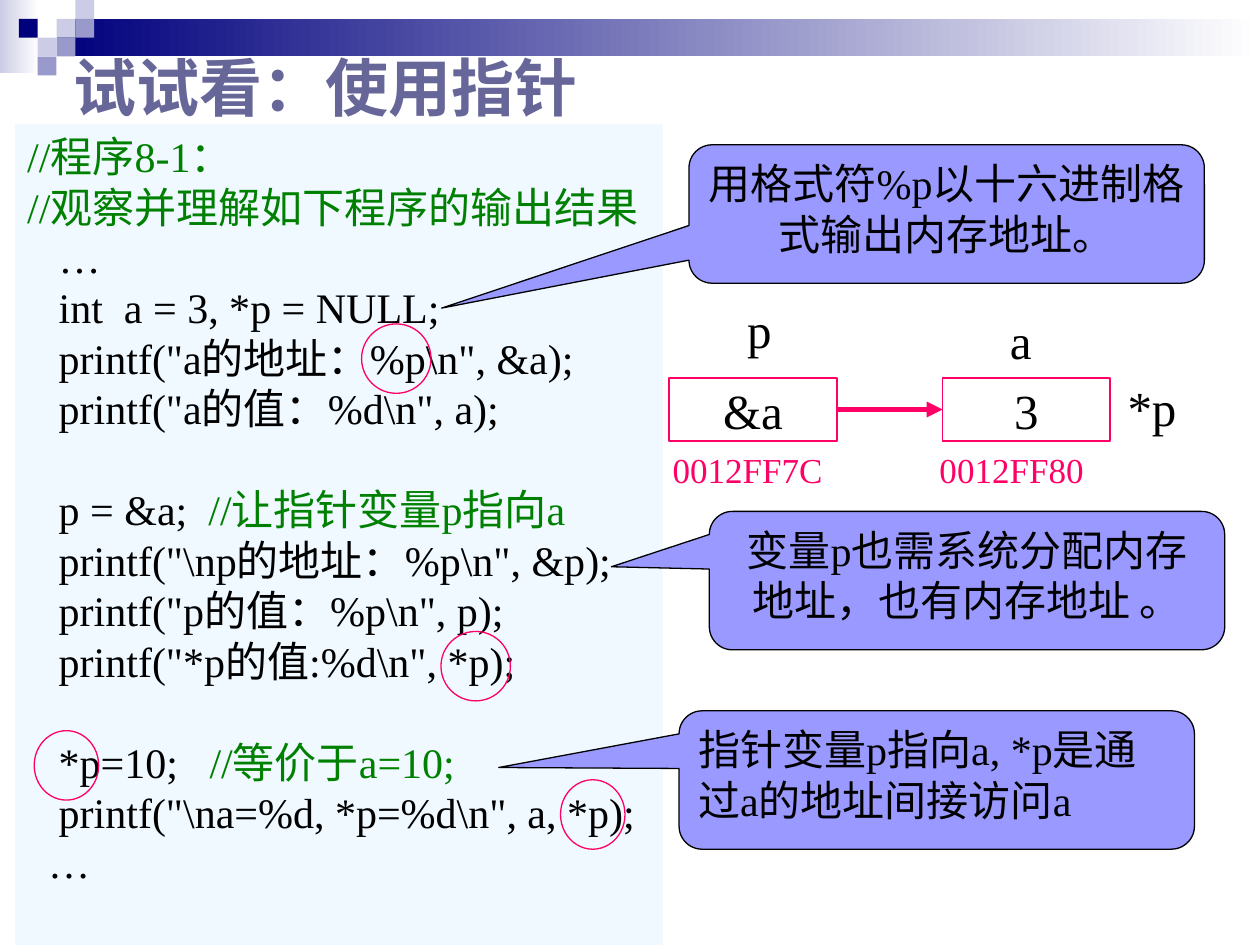
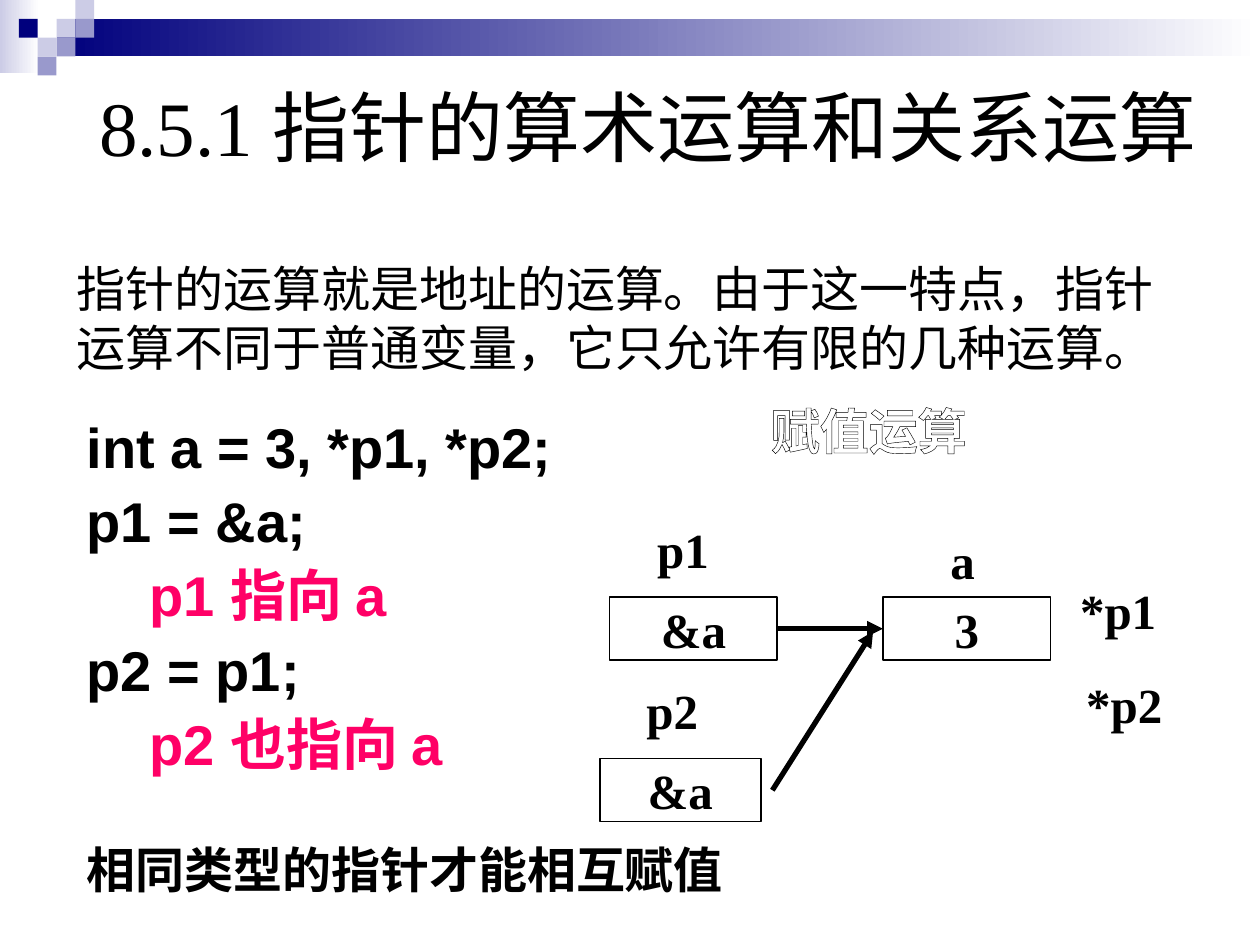
from lxml import etree
from pptx import Presentation
from pptx.dml.color import RGBColor
from pptx.enum import shapes, text
from pptx.oxml.ns import qn
from pptx.util import Cm, Pt

COLOURS = {
    "black": "000000", "white": "FFFFFF", "navy": "00007D",
    "pale": "CCCCE6", "lilac": "9999CC", "title": "666699",
    "panel": "EFF9FF", "callout": "9999FF", "comment": "008000",
    "pink": "FF0066",
}
SERIF, SANS, CHINESE = "Times New Roman", "Arial", "Noto Sans CJK SC"
SQUARE = 0.38                       # side of a corner square, cm
CELL = (3.38, 1.27)                 # size of a memory cell, cm
TARGET_STEP = 5.51                  # from pointer cell to target cell, cm
LABEL_HEIGHT = 1.45
CENTRE = text.PP_ALIGN.CENTER
MIDDLE = text.MSO_ANCHOR.MIDDLE

CODE = r'''//程序8-1：
//观察并理解如下程序的输出结果
   …
   int  a = 3, *p = NULL;
   printf("a的地址：%p\n", &a);
   printf("a的值：%d\n", a);

   p = &a;  //让指针变量p指向a
   printf("\np的地址：%p\n", &p);
   printf("p的值：%p\n", p);
   printf("*p的值:%d\n", *p);

   *p=10;   //等价于a=10;
   printf("\na=%d, *p=%d\n", a, *p);
  …'''


def rgb(name):
    return RGBColor.from_string(COLOURS[name])


def style(span, size, colour="black", bold=False, font=SERIF):
    span.font.size = Pt(size)
    span.font.bold = bold
    span.font.color.rgb = rgb(colour)
    span.font.name = font
    east_asian = etree.SubElement(span.font._element, qn("a:ea"))
    east_asian.set("typeface", CHINESE)


def write(shape, words, size, colour="black", bold=False, font=SERIF,
          align=None, anchor=text.MSO_ANCHOR.TOP, wrap=True):
    frame = shape.text_frame
    frame.text = words
    frame.word_wrap = wrap
    frame.vertical_anchor = anchor
    for para in frame.paragraphs:
        para.alignment = align or text.PP_ALIGN.LEFT
        for span in para.runs:
            style(span, size, colour, bold, font)
    return frame.paragraphs


def add_text(page, box, words, size, **look):
    return write(page.shapes.add_textbox(*map(Cm, box)), words, size, **look)


def add_shape(page, kind, box, fill=None, line=None, width=0.75):
    shape = page.shapes.add_shape(kind, *map(Cm, box))
    shape.shadow.inherit = False
    if fill:
        shape.fill.solid()
        shape.fill.fore_color.rgb = rgb(fill)
    else:
        shape.fill.background()
    if line:
        shape.line.color.rgb = rgb(line)
        shape.line.width = Pt(width)
    else:
        shape.line.fill.background()
    return shape


def add_arrow(page, start, end, colour):
    arrow = page.shapes.add_connector(shapes.MSO_CONNECTOR.STRAIGHT,
                                      *map(Cm, start + end))
    arrow.line.color.rgb = rgb(colour)
    arrow.line.width = Pt(3)
    head = etree.SubElement(arrow.line._get_or_add_ln(), qn("a:tailEnd"))
    head.set("type", "triangle")
    etree.SubElement(arrow._element.spPr, qn("a:effectLst"))
    return arrow


def add_banner(page):
    """Gradient strips and the corner squares."""
    strips = [((0, 0, 0.79, 1.47), "pale"),
              ((3 * SQUARE, SQUARE, 24.26, 2 * SQUARE), "navy")]
    for box, colour in strips:
        strip = add_shape(page, shapes.MSO_SHAPE.RECTANGLE, box)
        strip.fill.gradient()
        strip.fill.gradient_angle = 0
        for stop, name, place in zip(strip.fill.gradient_stops,
                                     (colour, "white"), (0, 1)):
            stop.color.rgb = rgb(name)
            stop.position = place
    squares = [(3, 1, "pale"), (4, 0, "pale"), (4, 1, "lilac"),
               (2, 2, "pale"), (1, 1, "navy"), (3, 2, "lilac"),
               (2, 3, "lilac")]
    for column, row, colour in squares:
        add_shape(page, shapes.MSO_SHAPE.RECTANGLE,
                  (column * SQUARE, row * SQUARE, SQUARE, SQUARE), colour)


def add_code(page, box):
    """Code panel: comments in green, an empty line becomes a gap."""
    panel = add_shape(page, shapes.MSO_SHAPE.RECTANGLE, box, "panel")
    frame = panel.text_frame
    frame.word_wrap = True
    frame.vertical_anchor = text.MSO_ANCHOR.TOP
    para, gap = frame.paragraphs[0], False
    for number, line in enumerate(CODE.split("\n")):
        if not line:
            gap = True
            continue
        if number:
            para = frame.add_paragraph()
        para.alignment = text.PP_ALIGN.LEFT
        if gap:
            para.space_before = Pt(29)
            gap = False
        statement, mark, comment = line.partition("//")
        for words, colour in ((statement, "black"),
                              (mark + comment, "comment")):
            if words:
                span = para.add_run()
                span.text = words
                style(span, 24, colour)


def add_rings(page, box):
    """Circles around the pointer expressions in the code panel."""
    left, top = box[:2]
    for x, y, width in [(6.99, 4.02, 1.4), (8.59, 10.22, 1.4),
                        (0.39, 12.22, 1.3), (11, 13.21, 1.3)]:
        add_shape(page, shapes.MSO_SHAPE.OVAL,
                  (left + x, top + y, width, 1.4), line="pink")


def add_callout(page, corner, tip, words, align=None):
    callout = add_shape(page, shapes.MSO_SHAPE.ROUNDED_RECTANGULAR_CALLOUT,
                        corner + (10.39, 2.79), "callout", "black")
    callout.adjustments[0], callout.adjustments[1] = tip
    write(callout, words, 24, align=align)


def add_cell(page, box, value, name, name_box, colour, bold):
    """Memory cell with its variable name above; name_box: dx, dy, width."""
    cell = add_shape(page, shapes.MSO_SHAPE.RECTANGLE, box, None, colour, 1)
    write(cell, value, 28, bold=bold, align=CENTRE, anchor=MIDDLE, wrap=False)
    dx, dy, width = name_box
    add_text(page, (box[0] + dx, box[1] + dy, width, LABEL_HEIGHT),
             name, 28, bold=bold, wrap=False)
    return cell


def add_pointer(page, corner, name, name_box, colour, bold=False):
    """Pointer cell joined to the variable a that it points to."""
    left, top = corner
    target_left = left + TARGET_STEP
    pointer = add_cell(page, corner + CELL, "&a", name, name_box, colour, bold)
    target = add_cell(page, (target_left, top) + CELL, "3", "a",
                      (1.11, -1.48, 0.97), colour, bold)
    middle = top + CELL[1] / 2
    arrow = add_arrow(page, (left + CELL[0], middle),
                      (target_left, middle), colour)
    arrow.begin_connect(pointer, 3)
    arrow.end_connect(target, 1)


def build_try_page(page):
    add_banner(page)
    code_box = (0.3, 2.51, 13.06, 16.54)
    add_code(page, code_box)
    add_text(page, (1.24, 0.48, 24.13, 2.51), "试试看：使用指针", 36,
             colour="title", bold=True, font=SANS, anchor=MIDDLE)

    # Memory diagram with addresses
    left, top = corner = (13.49, 7.62)
    add_pointer(page, corner, "p", (1.32, -1.7, 1), "pink")
    add_text(page, (left + 8.99, top - 0.15, 1.5, LABEL_HEIGHT), "*p", 28,
             anchor=MIDDLE, wrap=False)
    for dx, address in [(-0.18, "0012FF7C"), (5.2, "0012FF80")]:
        add_text(page, (left + dx, top + 1.3, 3.99, 1.12), address, 20,
                 colour="pink")

    # Explanations
    add_callout(page, (13.89, 2.92), (-0.98, 0.68),
                "用格式符%p以十六进制格式输出内存地址。", CENTRE)
    add_callout(page, (14.3, 10.31), (-0.69, -0.1),
                "变量p也需系统分配内存地址，也有内存地址 。", CENTRE)
    add_callout(page, (13.69, 14.33), (-0.85, -0.09),
                "指针变量p指向a, *p是通过a的地址间接访问a")
    add_rings(page, code_box)


def add_assignments(page, box):
    """Statements with their meaning indented in pink."""
    lines = ["int a = 3, *p1, *p2;", "p1 = &a;", "p1 指向 a",
             "p2 = p1;", "p2 也指向 a"]
    paras = add_text(page, box, "\n".join(lines), 32, bold=True, font=SANS)
    for number, para in enumerate(paras):
        para.line_spacing = 0.9 if number else 1.2
        if number:
            para.space_before = Pt(8)
        if "指向" in para.text:
            para._p.get_or_add_pPr().set("marL", str(Cm(1.27)))
            for span in para.runs:
                span.font.color.rgb = rgb("pink")


def add_outlined_word(page, box, words):
    para = add_text(page, box, words, 28, colour="white", bold=True,
                    font=CHINESE, wrap=False)[0]
    outline = etree.Element(qn("a:ln"), w=str(Pt(0.75)))
    fill = etree.SubElement(outline, qn("a:solidFill"))
    etree.SubElement(fill, qn("a:srgbClr"), val=COLOURS["black"])
    para.runs[0].font._element.insert(0, outline)


def build_arithmetic_page(page):
    add_banner(page)
    heading = add_text(page, (1.32, 1.68, 23.5, 1.93),
                       "8.5.1 指针的算术运算和关系运算", 44, align=CENTRE)
    heading[0].line_spacing = 0.9
    add_text(page, (1.3, 5.08, 22.4, 2.64),
             "指针的运算就是地址的运算。由于这一特点，指针运算不同于普通变量，"
             "它只允许有限的几种运算。", 28, anchor=MIDDLE)
    add_outlined_word(page, (15.29, 7.95, 9.53, 1.35), "赋值运算")
    add_assignments(page, (1.5, 7.92, 21.41, 8.2))
    rule = add_text(page, (1.5, 16.94, 14.3, 1.32),
                    "相同类型的指针才能相互赋值", 28, bold=True)
    rule[0].line_spacing = 0.9

    # Two pointers to one variable
    add_pointer(page, (12.29, 12.04), "p1", (0.71, -1.7, 1.55), "black", True)
    add_cell(page, (12.09, 15.29, 3.25, 1.27), "&a", "p2",
             (0.69, -1.7, 1.55), "black", True)
    add_arrow(page, (15.57, 15.93), (17.6, 12.73), "black")
    aliases = add_text(page, (21.51, 11.53, 2.31, 3.43), "*p1 \n*p2", 28,
                       bold=True, align=CENTRE, anchor=MIDDLE, wrap=False)
    aliases[1].space_before = Pt(20)


def main():
    deck = Presentation()
    deck.slide_width, deck.slide_height = Cm(25.4), Cm(19.05)
    for build in (build_try_page, build_arithmetic_page):
        build(deck.slides.add_slide(deck.slide_layouts[6]))
    deck.save("out.pptx")


if __name__ == "__main__":
    main()
